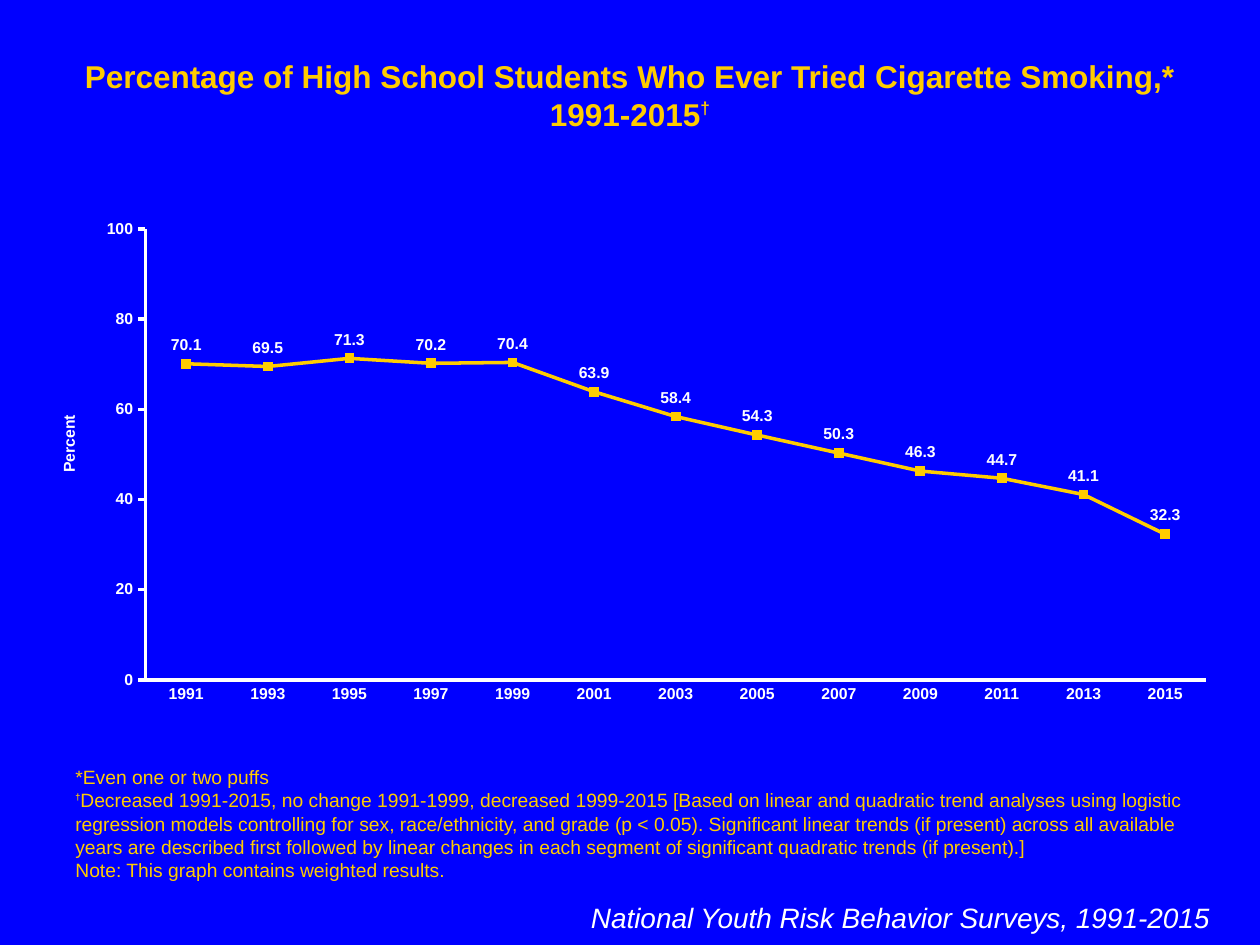
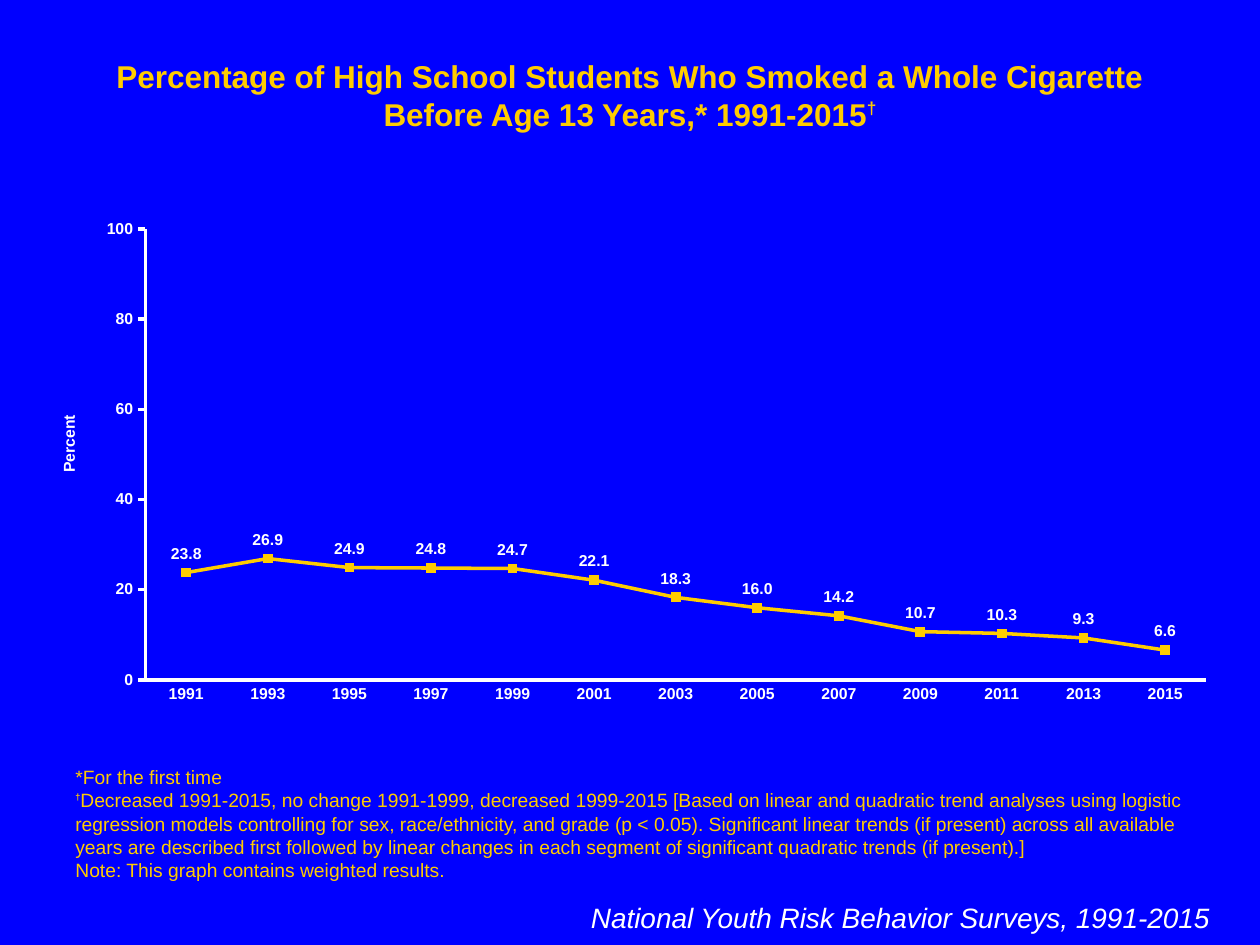
from lxml.etree import SubElement
from pptx import Presentation
from pptx.chart.data import CategoryChartData
from pptx.dml.color import RGBColor
from pptx.enum.chart import (
    XL_CHART_TYPE as ChartType,
    XL_LABEL_POSITION as LabelPosition,
    XL_MARKER_STYLE as MarkerStyle,
    XL_TICK_MARK as TickMark,
)
from pptx.enum.text import MSO_ANCHOR as Anchor, PP_ALIGN as Align
from pptx.oxml.ns import qn
from pptx.util import Cm, Pt

BLUE = RGBColor(0x00, 0x00, 0xFF)
GOLD = RGBColor(0xFF, 0xCC, 0x00)
WHITE = RGBColor(0xFF, 0xFF, 0xFF)
FONT = "Arial"

TITLE_BOX = (Cm(1.27), Cm(1.02), Cm(22.86), Cm(1.75))
CHART_BOX = (Cm(0.64), Cm(4.24), Cm(24.13), Cm(10.16))
FOOTNOTE_BOX = (Cm(1.27), Cm(15.32), Cm(22.86), Cm(2.57))
SOURCE_BOX = (Cm(11.51), Cm(18.03), Cm(13.13), Cm(0.94))

SURVEY_YEARS = [str(year) for year in range(1991, 2016, 2)]
SURVEY_NAME = "National Youth Risk Behavior Surveys, 1991-2015"
TREND_NOTE = (
    "Decreased 1991-2015, no change 1991-1999, decreased 1999-2015 "
    "[Based on linear and quadratic trend analyses using logistic regression "
    "models controlling for sex, race/ethnicity, and grade (p < 0.05). "
    "Significant linear trends (if present) across all available years are "
    "described first followed by linear changes in each segment of significant "
    "quadratic trends (if present).]"
)
WEIGHT_NOTE = "Note: This graph contains weighted results."

TOPICS = [
    (
        "Percentage of High School Students Who Ever Tried Cigarette Smoking,* 1991-2015",
        "*Even one or two puffs",
        [70.1, 69.5, 71.3, 70.2, 70.4, 63.9, 58.4, 54.3, 50.3, 46.3, 44.7, 41.1, 32.3],
    ),
    (
        "Percentage of High School Students Who Smoked a Whole Cigarette "
        "Before Age 13 Years,* 1991-2015",
        "*For the first time",
        [23.8, 26.9, 24.9, 24.8, 24.7, 22.1, 18.3, 16.0, 14.2, 10.7, 10.3, 9.3, 6.6],
    ),
]


def style_font(font, size, color, bold=False, italic=False):
    font.name = FONT
    font.size = Pt(size)
    font.color.rgb = color
    font.bold = bold
    font.italic = italic


def add_frame(slide, box, anchor=Anchor.TOP):
    frame = slide.shapes.add_textbox(*box).text_frame
    frame.word_wrap = True
    frame.vertical_anchor = anchor
    return frame


def add_dagger(paragraph, size, raise_percent):
    dagger = paragraph.add_run()
    dagger.text = "†"
    dagger.font.size = Pt(size)
    dagger.font.bold = True
    dagger._r.get_or_add_rPr().set("baseline", str(raise_percent * 1000))


def add_title(slide, box, title):
    heading = add_frame(slide, box).paragraphs[0]
    heading.alignment = Align.CENTER
    style_font(heading.font, 18, GOLD, bold=True)
    heading.add_run().text = title
    add_dagger(heading, 17, 40)


def add_footnotes(slide, box, definition):
    frame = add_frame(slide, box, Anchor.BOTTOM)
    for number, note in enumerate([definition, TREND_NOTE, WEIGHT_NOTE]):
        paragraph = frame.add_paragraph() if number else frame.paragraphs[0]
        style_font(paragraph.font, 11, GOLD)
        if note == TREND_NOTE:
            add_dagger(paragraph, 9, 50)
        paragraph.add_run().text = note


def add_source(slide, box):
    source = add_frame(slide, box).paragraphs[0]
    source.alignment = Align.RIGHT
    style_font(source.font, 16, WHITE, italic=True)
    source.add_run().text = SURVEY_NAME


def set_layout(parent, position, **settings):
    for old_layout in parent.findall(qn("c:layout")):
        parent.remove(old_layout)
    layout = SubElement(parent, qn("c:layout"))
    parent.insert(position, layout)
    manual = SubElement(layout, qn("c:manualLayout"))
    for tag, value in settings.items():
        SubElement(manual, qn(f"c:{tag}")).set("val", str(value))


def style_axis(axis, tick_mark):
    axis.has_major_gridlines = False
    axis.major_tick_mark = tick_mark
    axis.minor_tick_mark = TickMark.NONE
    axis.format.line.color.rgb = WHITE
    axis.format.line.width = Pt(2)
    style_font(axis.tick_labels.font, 9, WHITE, bold=True)


def style_trend(trend):
    trend.smooth = False
    trend.format.line.color.rgb = GOLD
    trend.format.line.width = Pt(2)
    trend.marker.style = MarkerStyle.SQUARE
    trend.marker.size = 5
    trend.marker.format.fill.solid()
    trend.marker.format.fill.fore_color.rgb = GOLD
    trend.marker.format.line.color.rgb = GOLD
    labels = trend.data_labels
    labels.show_value = True
    labels.position = LabelPosition.ABOVE
    labels.number_format = "#,##0.0"
    labels.number_format_is_linked = False
    style_font(labels.font, 9, WHITE, bold=True)


def add_trend_chart(slide, box, percentages):
    data = CategoryChartData()
    data.categories = SURVEY_YEARS
    data.add_series("Series 1", percentages)
    chart = slide.shapes.add_chart(ChartType.LINE_MARKERS, *box, data).chart
    chart.has_title = False
    chart.has_legend = False
    style_font(chart.font, 18, WHITE)
    chart.plots[0].vary_by_categories = False
    style_trend(chart.plots[0].series[0])

    style_axis(chart.category_axis, TickMark.NONE)
    percent_axis = chart.value_axis
    style_axis(percent_axis, TickMark.OUTSIDE)
    percent_axis.minimum_scale = 0
    percent_axis.maximum_scale = 100
    percent_axis.major_unit = 20
    percent_axis.tick_labels.number_format = "#,##0"
    percent_axis.tick_labels.number_format_is_linked = False

    axis_title = percent_axis.axis_title
    axis_title.text_frame.text = "Percent"
    style_font(axis_title.text_frame.paragraphs[0].font, 9, WHITE, bold=True)
    set_layout(axis_title.element, 1, xMode="edge", yMode="edge", x=0.02, y=0.4)
    plot_area = chart.element.find(".//" + qn("c:plotArea"))
    set_layout(plot_area, 0, layoutTarget="inner", xMode="edge", yMode="edge",
               x=0.095, y=0.037, w=0.886, h=0.895)


def add_topic_slide(presentation, title, definition, percentages):
    slide = presentation.slides.add_slide(presentation.slide_layouts[6])
    add_title(slide, TITLE_BOX, title)
    add_footnotes(slide, FOOTNOTE_BOX, definition)
    add_source(slide, SOURCE_BOX)
    add_trend_chart(slide, CHART_BOX, percentages)


def main():
    presentation = Presentation()
    presentation.slide_width = Cm(25.4)
    presentation.slide_height = Cm(19.05)
    backdrop = presentation.slide_master.background.fill
    backdrop.solid()
    backdrop.fore_color.rgb = BLUE
    for topic in TOPICS:
        add_topic_slide(presentation, *topic)
    presentation.save("out.pptx")


if __name__ == "__main__":
    main()
